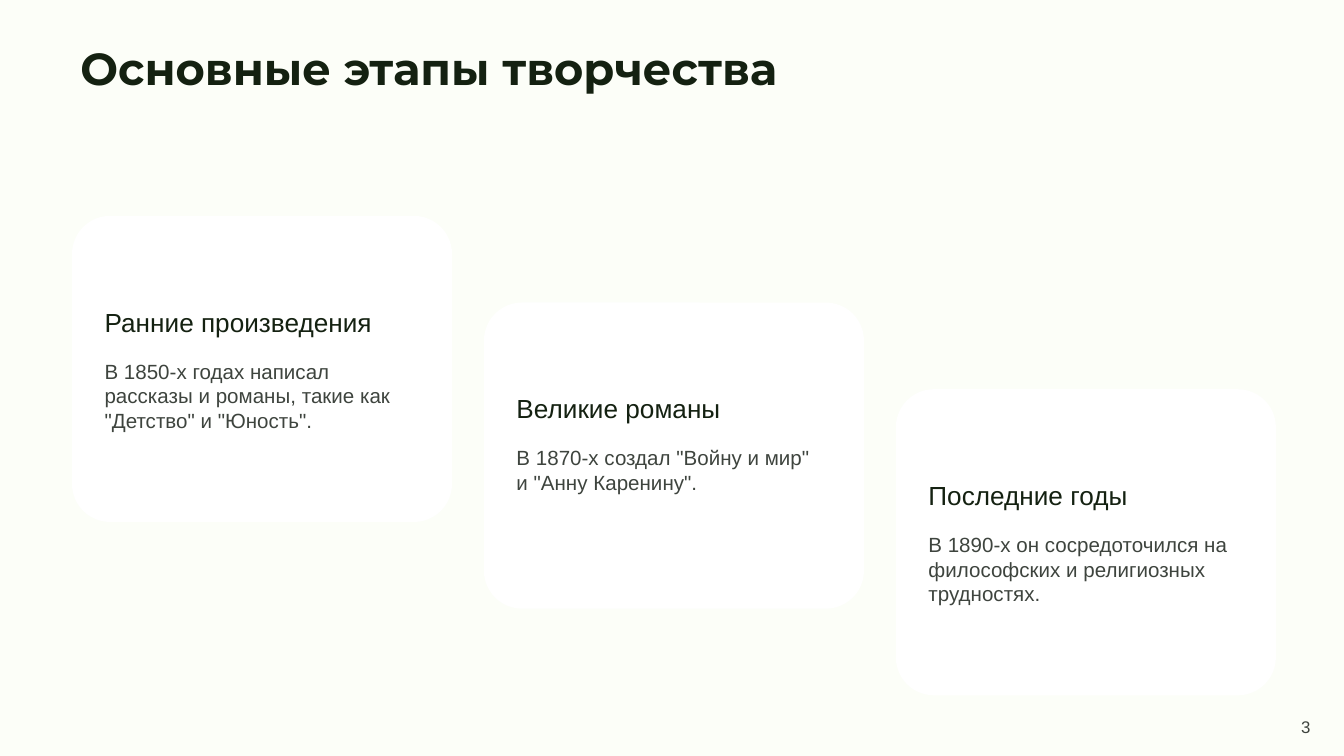
from typing import NamedTuple

from pptx import Presentation as new_presentation
from pptx.dml.color import RGBColor
from pptx.enum.shapes import MSO_SHAPE as Shape
from pptx.enum.text import MSO_ANCHOR as Anchor, PP_ALIGN as Align
from pptx.slide import Slide
from pptx.util import Inches, Pt

SLIDE_WIDTH = 10
SLIDE_HEIGHT = SLIDE_WIDTH * 9 / 16
BACKGROUND, CARD_FILL = "FCFEF8", "FFFFFF"
DARK, GREY = "142111", "3E443E"


class Box(NamedTuple):
    left: float
    top: float
    width: float
    height: float

    def inside(self, other: "Box") -> "Box":
        return Box(other.left + self.left, other.top + self.top, self.width, self.height)

    def lengths(self) -> list[int]:
        return [Inches(value) for value in self]


class Style(NamedTuple):
    size: float
    color: str
    font: str = "Arial"
    bold: bool = False
    anchor: Anchor = Anchor.TOP
    align: Align = Align.LEFT


class Card(NamedTuple):
    heading: str
    body: str


TITLE = Style(24, DARK, font="Montserrat", bold=True)
HEADING = Style(14, DARK, anchor=Anchor.BOTTOM)
BODY = Style(11, GREY)
PAGE_NUMBER = Style(9, GREY, align=Align.RIGHT)

CARDS = [
    Card("Ранние произведения",
         'В 1850-х годах написал рассказы и романы, такие как "Детство" и "Юность".'),
    Card("Великие романы",
         'В 1870-х создал "Войну и мир" и "Анну Каренину".'),
    Card("Последние годы",
         "В 1890-х он сосредоточился на философских и религиозных трудностях."),
]
FIRST_CARD = Box(0.55, 1.62, 2.8, 2.25)
LAST_CARD = Box(6.68, 2.91, 2.8, 2.25)
HEADING_IN_CARD = Box(0.13, 0.14, 2.5, 0.8)
BODY_IN_CARD = Box(0.13, 1, 2.5, 1.27)


def rgb(color: str) -> RGBColor:
    return RGBColor.from_string(color)


def staircase_box(index: int) -> Box:
    """Place a card on the even diagonal from the first card to the last."""
    share = index / (len(CARDS) - 1)
    return Box(*(start + (end - start) * share
                 for start, end in zip(FIRST_CARD, LAST_CARD)))


def add_text(slide: Slide, box: Box, text: str, style: Style) -> None:
    frame = slide.shapes.add_textbox(*box.lengths()).text_frame
    frame.word_wrap = True
    frame.vertical_anchor = style.anchor
    paragraph = frame.paragraphs[0]
    paragraph.text = text
    paragraph.alignment = style.align
    paragraph.font.name = style.font
    paragraph.font.size = Pt(style.size)
    paragraph.font.bold = style.bold
    paragraph.font.color.rgb = rgb(style.color)


def add_card(slide: Slide, box: Box, card: Card) -> None:
    shape = slide.shapes.add_shape(Shape.ROUNDED_RECTANGLE, *box.lengths())
    shape.adjustments[0] = 0.12
    shape.shadow.inherit = False
    shape.fill.solid()
    shape.fill.fore_color.rgb = rgb(CARD_FILL)
    shape.line.color.rgb = rgb(CARD_FILL)
    shape.line.width = Pt(2)
    add_text(slide, HEADING_IN_CARD.inside(box), card.heading, HEADING)
    add_text(slide, BODY_IN_CARD.inside(box), card.body, BODY)


def main() -> None:
    presentation = new_presentation()
    presentation.slide_width = Inches(SLIDE_WIDTH)
    presentation.slide_height = Inches(SLIDE_HEIGHT)
    slide = presentation.slides.add_slide(presentation.slide_layouts[6])
    slide.background.fill.solid()
    slide.background.fill.fore_color.rgb = rgb(BACKGROUND)

    for index, card in enumerate(CARDS):
        add_card(slide, staircase_box(index), card)
    add_text(slide, Box(9.32, 5.28, 0.53, 0.25), "3", PAGE_NUMBER)
    add_text(slide, Box(0.5, 0.25, 9, 1.25), "Основные этапы творчества", TITLE)

    presentation.save("out.pptx")


if __name__ == "__main__":
    main()
